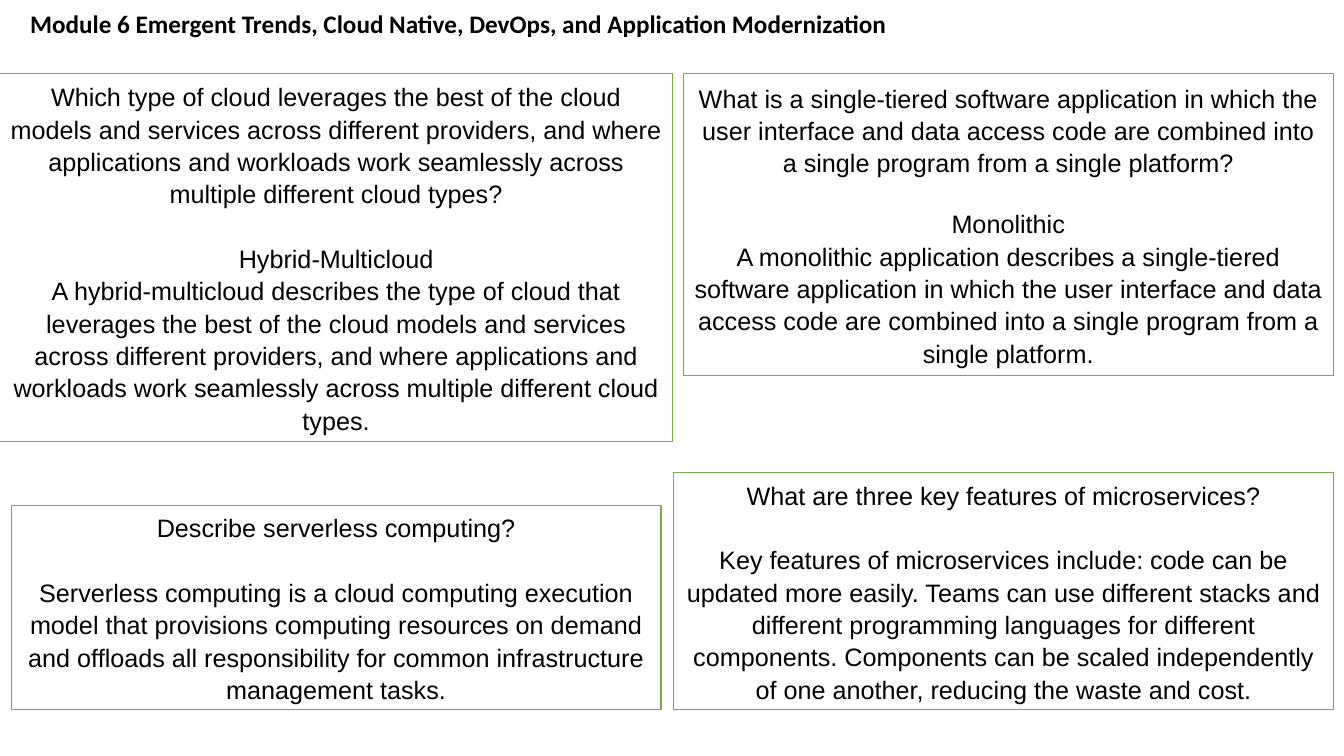
import pptx
import pptx.util
import pptx.dml.color
import pptx.enum.shapes
import pptx.enum.text

Cm = pptx.util.Cm
Pt = pptx.util.Pt
BLACK = pptx.dml.color.RGBColor(0x00, 0x00, 0x00)
GREEN = pptx.dml.color.RGBColor(0x70, 0xAD, 0x47)
CENTER = pptx.enum.text.PP_ALIGN.CENTER

TITLE = "Module 6 Emergent Trends, Cloud Native, DevOps, and Application Modernization"
TITLE_BOX = (0.51, 0.08, 23.93, 1.02)

CARDS = [
    {"box": (0, 1.85, 16.94, 9.27), "gap": 23.2, "text": [
        "Which type of cloud leverages the best of the cloud models and services across "
        "different providers, and where applications and workloads work seamlessly across "
        "multiple different cloud types?",
        "Hybrid-Multicloud",
        "A hybrid-multicloud describes the type of cloud that leverages the best of the cloud "
        "models and services across different providers, and where applications and workloads "
        "work seamlessly across multiple different cloud types."]},
    {"box": (17.22, 1.85, 16.38, 7.62), "gap": 20.5, "text": [
        "What is a single-tiered software application in which the user interface and data "
        "access code are combined into a single program from a single platform?",
        "Monolithic",
        "A monolithic application describes a single-tiered software application in which the "
        "user interface and data access code are combined into a single program from a single "
        "platform."]},
    {"box": (0.28, 12.73, 16.38, 5.16), "gap": 23.2, "text": [
        "Describe serverless computing?",
        "Serverless computing is a cloud computing execution model that provisions computing "
        "resources on demand and offloads all responsibility for common infrastructure "
        "management tasks."]},
    {"box": (16.97, 11.91, 16.64, 5.97), "gap": 23.2, "text": [
        "What are three key features of microservices?",
        "Key features of microservices include: code can be updated more easily. Teams can use "
        "different stacks and different programming languages for different components. "
        "Components can be scaled independently of one another, reducing the waste and cost."]},
]


def write(sp, lines, font="Arial", bold=False, align=None, spacing=None, gap=0):
    tf = sp.text_frame
    tf.word_wrap = True
    tf.auto_size = pptx.enum.text.MSO_AUTO_SIZE.SHAPE_TO_FIT_TEXT
    for i, line in enumerate(lines):
        p = tf.add_paragraph() if i else tf.paragraphs[0]
        p.alignment = align
        p.line_spacing = spacing
        if i == 1:
            p.space_before = Pt(gap)
        r = p.add_run()
        r.text = line
        r.font.name = font
        r.font.size = Pt(18)
        r.font.bold = bold
        r.font.color.rgb = BLACK


def main():
    prs = pptx.Presentation()
    prs.slide_width, prs.slide_height = Cm(33.87), Cm(19.05)
    slide = prs.slides.add_slide(prs.slide_layouts[6])

    write(slide.shapes.add_textbox(*map(Cm, TITLE_BOX)), [TITLE], font="Calibri", bold=True)

    for card in CARDS:
        sp = slide.shapes.add_shape(
            pptx.enum.shapes.MSO_SHAPE.RECTANGLE, *map(Cm, card["box"]))
        sp.shadow.inherit = False
        sp.fill.background()
        sp.line.color.rgb = GREEN
        sp.line.width = Pt(0.75)
        write(sp, card["text"], align=CENTER, spacing=1.07, gap=card["gap"])

    prs.save("out.pptx")


if __name__ == "__main__":
    main()
